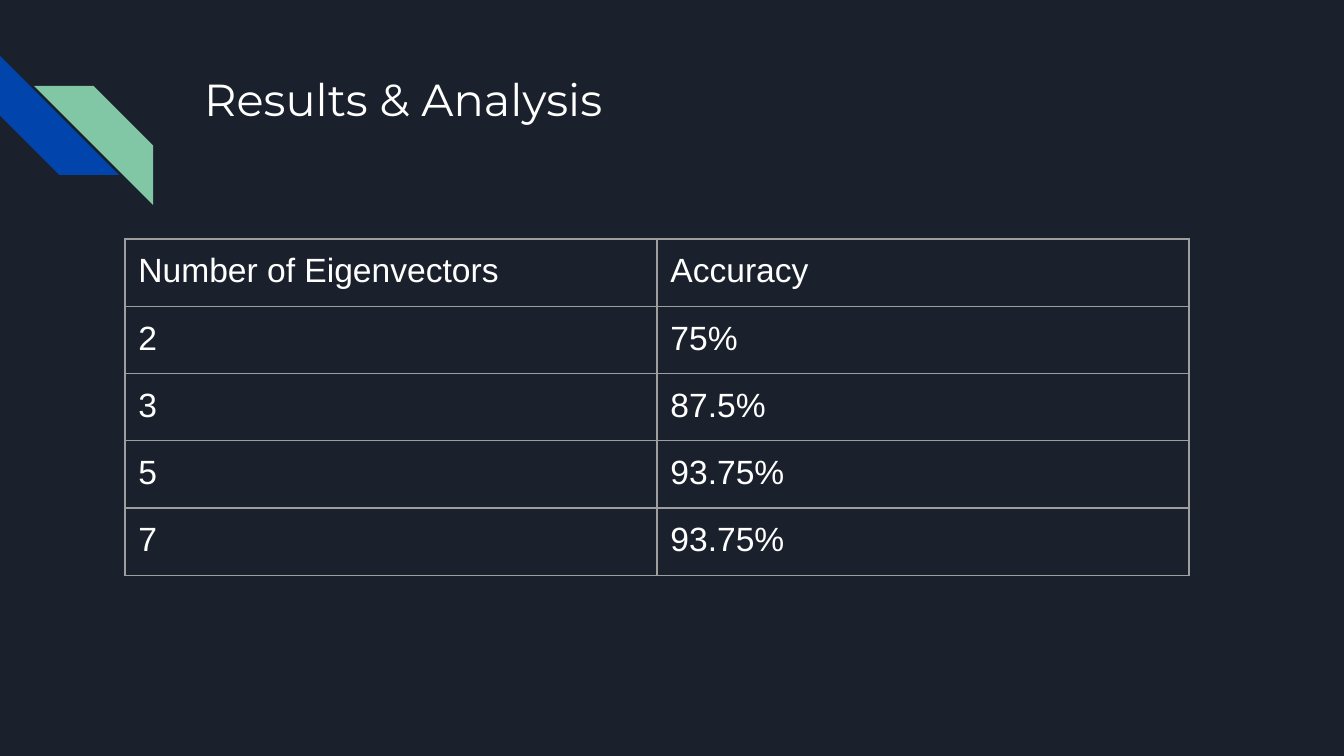
from lxml import etree
from pptx import Presentation
from pptx.dml.color import RGBColor
from pptx.enum import shapes, text
from pptx.oxml import ns
from pptx.util import Emu, Pt

PX = 914400 / 134.4
COLORS = {"bg": "1B212C", "blue": "0145AC", "green": "82C7A5",
          "text": "FFFFFF", "border": "9E9E9E"}
TITLE = {"name": "Montserrat", "size": Pt(24)}
BODY = {"name": "Arial", "size": Pt(18)}
MARGINS = ("margin_left", "margin_top", "margin_right", "margin_bottom")
ROWS = [("Number of Eigenvectors", "Accuracy"), ("2", "75%"), ("3", "87.5%"),
        ("5", "93.75%"), ("7", "93.75%")]


def px(n):
    return Emu(round(n * PX))


def rgb(key):
    return RGBColor.from_string(COLORS[key])


def set_attrs(obj, values):
    for name, value in values.items():
        setattr(obj, name, value)


def write(tf, string, font):
    r = tf.paragraphs[0].add_run()
    r.text = string
    set_attrs(r.font, font)
    r.font.color.rgb = rgb("text")


def add_border(cell):
    tc_pr = cell._tc.get_or_add_tcPr()
    for i, side in enumerate(("lnL", "lnR", "lnT", "lnB")):
        ln = etree.Element(ns.qn(f"a:{side}"), w=str(Pt(0.75)))
        fill = etree.SubElement(ln, ns.qn("a:solidFill"))
        etree.SubElement(fill, ns.qn("a:srgbClr"), val=COLORS["border"])
        tc_pr.insert(i, ln)


def add_stripes(s, x, y, size):
    for dx, dy, angle, color in ((0, 0, 270, "blue"), (34, 30, 90, "green")):
        sp = s.shapes.add_shape(shapes.MSO_SHAPE.DIAGONAL_STRIPE,
                                px(x + dx), px(y + dy), px(size), px(size))
        sp.adjustments[0] = 0.5
        sp.rotation = angle
        sp.shadow.inherit = False
        sp.fill.solid()
        sp.fill.fore_color.rgb = rgb(color)
        sp.line.fill.background()


def add_title(s, x, y, w, h):
    tf = s.shapes.add_textbox(px(x), px(y), px(w), px(h)).text_frame
    set_attrs(tf, {"word_wrap": True, "vertical_anchor": text.MSO_ANCHOR.TOP})
    set_attrs(tf, dict.fromkeys(MARGINS, Pt(7.2)))
    write(tf, "Results & Analysis", TITLE)


def add_results(s, x, y, w, h):
    table = s.shapes.add_table(len(ROWS), len(ROWS[0]),
                               px(x), px(y), px(w), px(h)).table
    set_attrs(table, {"first_row": False, "horz_banding": False})
    for i, row in enumerate(ROWS):
        for j, string in enumerate(row):
            cell = table.cell(i, j)
            set_attrs(cell, dict.fromkeys(MARGINS, Pt(7.2)))
            cell.fill.background()
            add_border(cell)
            write(cell.text_frame, string, BODY)


def main():
    prs = Presentation()
    set_attrs(prs, {"slide_width": px(1344), "slide_height": px(756)})
    s = prs.slides.add_slide(prs.slide_layouts[6])
    s.background.fill.solid()
    s.background.fill.fore_color.rgb = rgb("bg")
    add_stripes(s, 0, 56, 119)
    add_title(s, 191, 58, 1035, 134)
    add_results(s, 125, 239, 1064, 322)
    prs.save("out.pptx")


if __name__ == "__main__":
    main()
